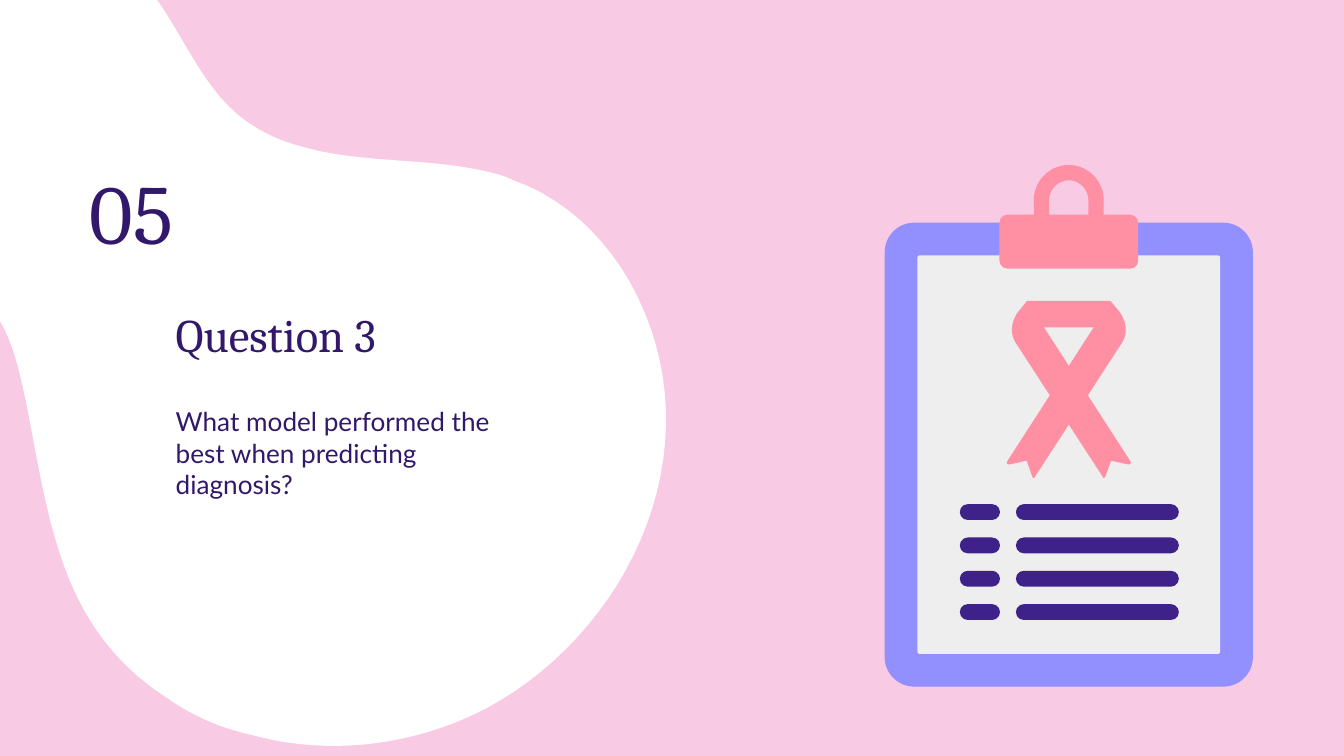
from pptx import Presentation
from pptx.dml.color import RGBColor
from pptx.enum.shapes import MSO_SHAPE as Preset
from pptx.enum.text import MSO_ANCHOR as Anchor, PP_ALIGN as Align
from pptx.util import Cm, Pt

PINK = RGBColor(0xF9, 0xCA, 0xE3)
WHITE = RGBColor(0xFF, 0xFF, 0xFF)
INDIGO = RGBColor(0x32, 0x18, 0x6B)
PURPLE = RGBColor(0x3E, 0x22, 0x89)
PERIWINKLE = RGBColor(0x92, 0x90, 0xFF)
PAPER_GREY = RGBColor(0xEE, 0xEE, 0xEE)
CORAL = RGBColor(0xFF, 0x8F, 0xA3)

CURVE_STEPS = 20

# Outlines in cm: a pair is a corner, six numbers are a Bezier curve
BLOB = [
    (4.75, 13.89),
    (6.22, 14.3, 7.82, 14.1, 9.19, 13.39),
    (11, 12.42, 12.4, 10.49, 12.57, 8.36),
    (12.75, 6.25, 11.58, 4.06, 9.68, 3.4),
    (9.58, 3.35, 9.47, 3.31, 9.35, 3.28),
    (8.18, 2.97, 6.88, 3.1, 5.77, 2.79),
    (5.28, 2.67, 4.83, 2.46, 4.45, 2.13),
    (3.68, 1.45, 3.35, 0.36, 2.64, -0.41),
    (2.29, -0.81, 1.8, -1.09, 1.27, -1.22),
    (0.18, -1.52, -1.07, -1.22, -1.88, -0.38),
    (-3.07, 0.91, -3.07, 3.18, -1.88, 4.39),
    (-1.3, 4.98, -0.51, 5.31, -0.05, 5.99),
    (0.25, 6.45, 0.36, 7.01, 0.48, 7.54),
    (0.94, 9.86, 1.12, 11.89, 3.18, 13.21),
    (3.66, 13.54, 4.19, 13.77, 4.75, 13.89),
]
# Clip and ribbon are measured from the centre line of the clipboard
CLIP_RING = [
    (-0.66, 1.1), (-0.66, 0.66),
    (-0.66, 0.3, -0.36, 0, 0, 0),
    (0.36, 0, 0.66, 0.3, 0.66, 0.66),
    (0.66, 1.1), (0.37, 1.1), (0.37, 0.66),
    (0.37, 0.46, 0.2, 0.29, 0, 0.29),
    (-0.2, 0.29, -0.37, 0.46, -0.37, 0.66),
    (-0.37, 1.1),
]
RIBBON_BAND = [(-0.79, 2.57), (-0.52, 3.07), (0.52, 3.07), (0.79, 2.57)]
RIBBON_STRAND = [
    (-0.79, 2.57), (-0.97, 2.79),
    (-1.09, 2.97, -1.12, 3.2, -0.99, 3.38),
    (0.64, 5.89),
    (0.64, 5.92, 0.68, 5.92, 0.69, 5.89),
    (0.79, 5.61),
    (0.79, 5.6, 0.8, 5.59, 0.81, 5.59),
    (1.12, 5.66),
    (1.15, 5.66, 1.18, 5.64, 1.17, 5.61),
]


def paint(shape, color):
    shape.shadow.inherit = False
    shape.fill.solid()
    shape.fill.fore_color.rgb = color
    shape.line.fill.background()


def flatten(outline):
    """Turn corners and curves into a list of points."""
    points = []
    for part in outline:
        if len(part) == 2:
            points.append(part)
            continue
        start, controls = points[-1], (part[:2], part[2:4], part[4:])
        for step in range(1, CURVE_STEPS + 1):
            t = step / CURVE_STEPS
            weights = ((1 - t) ** 3, 3 * t * (1 - t) ** 2, 3 * t * t * (1 - t), t ** 3)
            points.append(tuple(
                sum(w * p[axis] for w, p in zip(weights, (start, *controls)))
                for axis in (0, 1)))
    return points


def add_outline(slide, outline, left, top, color, mirror=1):
    points = [(Cm(left + mirror * x), Cm(top + y)) for x, y in flatten(outline)]
    builder = slide.shapes.build_freeform(*points[0])
    builder.add_line_segments(points[1:], close=True)
    paint(builder.convert_to_shape(), color)


def add_rounded(slide, left, top, width, height, radius, color):
    shape = slide.shapes.add_shape(
        Preset.ROUNDED_RECTANGLE, Cm(left), Cm(top), Cm(width), Cm(height))
    shape.adjustments[0] = radius / min(width, height)
    paint(shape, color)


def add_text(slide, text, left, top, width, height, font, size):
    frame = slide.shapes.add_textbox(Cm(left), Cm(top), Cm(width), Cm(height)).text_frame
    frame.word_wrap = True
    frame.vertical_anchor = Anchor.TOP
    for side in ("left", "right", "top", "bottom"):
        setattr(frame, f"margin_{side}", Cm(0.25))
    paragraph = frame.paragraphs[0]
    paragraph.alignment = Align.LEFT
    run = paragraph.add_run()
    run.text = text
    run.font.name = font
    run.font.size = Pt(size)
    run.font.color.rgb = INDIGO


def add_section_heading(slide, left, top):
    add_text(slide, "05", left, top, 3.35, 1.3, "Cambria", 45)
    add_text(slide, "Question 3", left + 1.62, top + 2.75, 10, 1.6, "Cambria", 25)
    add_text(slide, "What model performed the best when predicting diagnosis?",
             left + 1.62, top + 4.63, 6.63, 2.62, "Lato", 14)


def add_clipboard(slide, left, top, width, height):
    center = left + width / 2

    # Board and paper
    board_top, border = top + 1.09, 0.62
    board_height = height - 1.09
    add_rounded(slide, left, board_top, width, board_height, 0.56, PERIWINKLE)
    add_rounded(slide, left + border, board_top + border,
                width - 2 * border, board_height - 2 * border, 0.04, PAPER_GREY)

    # Checklist: a short and a long bar in each row
    bar_height, row_step = 0.3, 0.63
    for row in range(4):
        for bar_left, bar_width in ((1.42, 0.76), (2.48, 3.08)):
            add_rounded(slide, left + bar_left, top + 6.41 + row * row_step,
                        bar_width, bar_height, bar_height / 2, PURPLE)

    # Clip
    clip_width = 2.62
    add_outline(slide, CLIP_RING, center, top, CORAL)
    add_rounded(slide, center - clip_width / 2, top + 0.94, clip_width, 1.02, 0.15, CORAL)

    # Awareness ribbon: a band and two mirrored strands
    add_outline(slide, RIBBON_BAND, center, top, CORAL)
    for mirror in (-1, 1):
        add_outline(slide, RIBBON_STRAND, center, top, CORAL, mirror)


def main():
    presentation = Presentation()
    presentation.slide_width = Cm(25.4)
    presentation.slide_height = Cm(14.29)
    slide = presentation.slides.add_slide(presentation.slide_layouts[6])
    slide.background.fill.solid()
    slide.background.fill.fore_color.rgb = PINK

    add_outline(slide, BLOB, 0, 0, WHITE)
    add_section_heading(slide, 1.45, 2.79)
    add_clipboard(slide, 16.72, 3.12, 6.96, 9.86)
    presentation.save("out.pptx")


if __name__ == "__main__":
    main()
